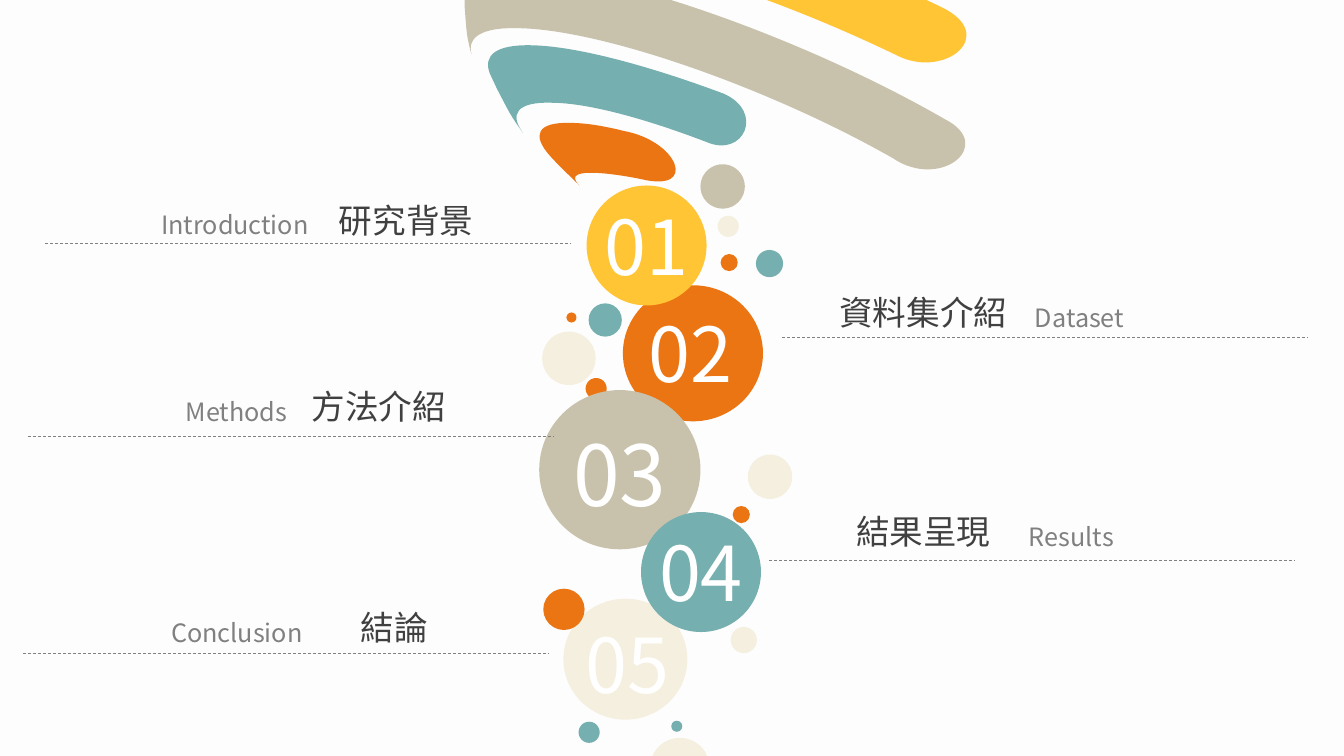
from math import cos, radians, sin

from lxml import etree
from pptx import Presentation
from pptx.dml.color import RGBColor
from pptx.enum.dml import MSO_LINE
from pptx.enum.shapes import MSO_CONNECTOR, MSO_SHAPE
from pptx.enum.text import MSO_AUTO_SIZE, PP_ALIGN
from pptx.oxml.ns import qn
from pptx.util import Cm, Pt

OVAL = MSO_SHAPE.OVAL
STRAIGHT = MSO_CONNECTOR.STRAIGHT
DASH = MSO_LINE.DASH
GROW = MSO_AUTO_SIZE.SHAPE_TO_FIT_TEXT
LEFT, CENTER, RIGHT = PP_ALIGN.LEFT, PP_ALIGN.CENTER, PP_ALIGN.RIGHT

COLORS = {
    "paper": "FDFDFD", "white": "FFFFFF", "dark": "404040", "gray": "808080",
    "yellow": "FFC535", "orange": "EB7513", "taupe": "C8C2AC",
    "teal": "76AFAF", "cream": "F4EFDF",
}
FONT = "Noto Sans CJK SC"
TILT = 6.4
RULE_LENGTH = 5.21
LABEL_WIDTH = 3.18


def inch(value):
    return Cm(value * 2.54)


def color(name):
    return RGBColor.from_string(COLORS[name])


def untilt(point, box):
    x, y, w, h = box
    dx, dy = point[0] - x - w / 2, point[1] - y - h / 2
    c, s = cos(radians(TILT)), sin(radians(TILT))
    return inch(w / 2 + dx * c + dy * s), inch(h / 2 - dx * s + dy * c)


class Deck:
    def __init__(self, prs):
        self.s = prs.slides.add_slide(prs.slide_layouts[6])
        self.s.background.fill.solid()
        self.s.background.fill.fore_color.rgb = color("paper")

    def paint(self, sp, fill):
        sp.shadow.inherit = False
        sp.fill.solid()
        sp.fill.fore_color.rgb = color(fill)
        sp.line.fill.background()

    def circle(self, x, y, w, h, fill):
        sp = self.s.shapes.add_shape(OVAL, inch(x), inch(y), inch(w), inch(h))
        self.paint(sp, fill)

    def text(self, x, y, w, h, words, size, fill, align, wrap=True):
        sp = self.s.shapes.add_textbox(inch(x), inch(y), inch(w), inch(h))
        tf = sp.text_frame
        tf.word_wrap = wrap
        tf.auto_size = GROW
        p = tf.paragraphs[0]
        p.text = words
        p.alignment = align
        r = p.runs[0]
        r.font.size = Pt(size)
        r.font.name = FONT
        r.font.color.rgb = color(fill)
        etree.SubElement(r._r.get_or_add_rPr(), qn("a:ea"), typeface=FONT)

    def badge(self, number, circle, text_box, size):
        self.circle(*circle)
        self.text(*text_box, number, size, "white", CENTER, wrap=False)

    def rule(self, x, y):
        ln = self.s.shapes.add_connector(
            STRAIGHT, inch(x), inch(y), inch(x + RULE_LENGTH), inch(y))
        ln.line.color.rgb = color("gray")
        ln.line.width = Pt(0.5)
        ln.line.dash_style = DASH
        etree.SubElement(ln._element.spPr, qn("a:effectLst"))

    def topic(self, heading, caption, rule, heading_at, caption_at, align):
        self.rule(*rule)
        self.text(*heading_at, LABEL_WIDTH, 0.5, heading, 24, "dark", CENTER)
        self.text(*caption_at, LABEL_WIDTH, 0.4, caption, 18, "gray", align)

    def swoosh(self, fill, box, start, curves):
        x, y, w, h = map(inch, box)
        builder = self.s.shapes.build_freeform(x, y)
        builder.add_line_segments([(x + w, y), (x + w, y + h)])
        sp = builder.convert_to_shape()
        outline = next(sp._element.iter(qn("a:path")))
        for step in list(outline):
            outline.remove(step)
        steps = [("a:moveTo", [start])] + [("a:cubicBezTo", c) for c in curves]
        for tag, points in steps:
            step = etree.SubElement(outline, qn(tag))
            for point in points:
                px, py = untilt(point, box)
                etree.SubElement(step, qn("a:pt"), x=str(px), y=str(py))
        etree.SubElement(outline, qn("a:close"))
        sp.rotation = TILT
        self.paint(sp, fill)


DOTS = [
    (5.62, 3.1, 0.1, "orange"), (5.74, 7.16, 0.21, "teal"),
    (5.39, 5.84, 0.41, "orange"), (5.81, 3.75, 0.21, "orange"),
    (5.38, 3.29, 0.53, "cream"), (5.84, 3.01, 0.33, "teal"),
    (6.95, 1.63, 0.44, "taupe"), (6.66, 7.15, 0.11, "teal"),
    (7.42, 4.51, 0.44, "cream"), (6.45, 7.32, 0.59, "cream"),
    (7.25, 6.22, 0.26, "cream"), (7.5, 2.48, 0.27, "teal"),
    (7.12, 2.14, 0.21, "cream"), (7.15, 2.52, 0.17, "orange"),
    (7.27, 5.02, 0.17, "orange"),
]
LAST_BADGE = ("05", (5.59, 5.94, 1.23, 1.2, "cream"), (5.68, 6.08, 1.09, 1.01), 54)
BADGES = [
    ("02", (6.18, 2.83, 1.39, 1.35, "orange"), (6.31, 3, 1.09, 1.01), 54),
    ("01", (5.82, 1.84, 1.19, 1.19, "yellow"), (5.87, 1.93, 1.09, 1.01), 54),
    ("03", (5.35, 3.87, 1.6, 1.58, "taupe"), (5.58, 4.14, 1.14, 1.05), 60),
    ("04", (6.36, 5.08, 1.19, 1.19, "teal"), (6.41, 5.17, 1.09, 1.01), 54),
]
TOPICS = [
    ("研究背景", "Introduction", (0.45, 2.41), (2.44, 1.93), (-0.02, 2.03), RIGHT),
    ("方法介紹", "Methods", (0.28, 4.33), (2.17, 3.78), (-0.23, 3.88), RIGHT),
    ("資料集介紹", "Dataset", (7.76, 3.35), (7.57, 2.85), (10.17, 2.95), LEFT),
    ("結果呈現", "Results", (7.63, 5.56), (7.57, 5.02), (10.11, 5.12), LEFT),
    ("結論", "Conclusion", (0.23, 6.48), (2.32, 5.97), (-0.08, 6.08), RIGHT),
]
SWOOSHES = [
    ("orange", (5.25, 1.26, 1.71, 0.63), (5.66, 1.22), [
        ((5.81, 1.22), (5.99, 1.25), (6.19, 1.3)),
        ((6.73, 1.4), (6.93, 1.91), (6.37, 1.78)),
        ((6.24, 1.75), (5.52, 1.62), (5.75, 1.84)),
        ((5.75, 1.84), (5.75, 1.84), (5.75, 1.84)),
        ((5.75, 1.84), (5.52, 1.62), (5.46, 1.55)),
        ((5.27, 1.34), (5.33, 1.21), (5.66, 1.22))]),
    ("teal", (4.75, 0.51, 2.85, 0.93), (4.86, 0.73), [
        ((4.93, 0.88), (4.93, 0.88), (4.93, 0.88)),
        ((5.05, 1.11), (5.06, 1.14), (5.19, 1.32)),
        ((5.05, 1.13), (5.13, 1.01), (5.47, 1.02)),
        ((5.83, 1.02), (6.41, 1.18), (7.01, 1.41)),
        ((7.38, 1.57), (7.59, 1.11), (7.18, 0.93)),
        ((6.43, 0.65), (5.72, 0.46), (5.28, 0.45)),
        ((4.92, 0.44), (4.79, 0.55), (4.86, 0.73))]),
    ("taupe", (4.52, -0.15, 5.43, 1.8), (4.61, -0.08), [
        ((4.61, 0.06), (4.61, 0.06), (4.61, 0.06)),
        ((4.63, 0.33), (4.63, 0.35), (4.67, 0.51)),
        ((4.68, 0.54), (4.68, 0.54), (4.68, 0.54)),
        ((4.63, 0.37), (4.78, 0.27), (5.14, 0.28)),
        ((5.97, 0.29), (7.63, 0.87), (8.86, 1.57)),
        ((9.33, 1.89), (9.89, 1.44), (9.37, 1.18)),
        ((7.98, 0.38), (6.08, -0.29), (5.14, -0.31)),
        ((4.79, -0.31), (4.61, -0.23), (4.61, -0.08))]),
    ("yellow", (4.83, -0.98, 5.13, 1.54), (5, -0.93), [
        ((4.98, -0.89), (4.98, -0.89), (4.98, -0.89)),
        ((4.88, -0.61), (4.87, -0.61), (4.84, -0.45)),
        ((4.83, -0.33), (4.83, -0.33), (4.83, -0.33)),
        ((4.84, -0.47), (5.02, -0.55), (5.37, -0.55)),
        ((6.16, -0.53), (7.62, -0.07), (8.9, 0.55)),
        ((9.37, 0.79), (9.92, 0.35), (9.34, 0.07)),
        ((7.97, -0.59), (6.41, -1.09), (5.56, -1.11)),
        ((5.24, -1.11), (5.05, -1.05), (5, -0.93))]),
]


def main():
    prs = Presentation()
    prs.slide_width, prs.slide_height = Cm(33.87), Cm(19.05)
    deck = Deck(prs)
    deck.badge(*LAST_BADGE)
    for x, y, size, fill in DOTS:
        deck.circle(x, y, size, size, fill)
    for badge in BADGES:
        deck.badge(*badge)
    for topic in TOPICS:
        deck.topic(*topic)
    for swoosh in SWOOSHES:
        deck.swoosh(*swoosh)
    prs.save("out.pptx")


if __name__ == "__main__":
    main()
